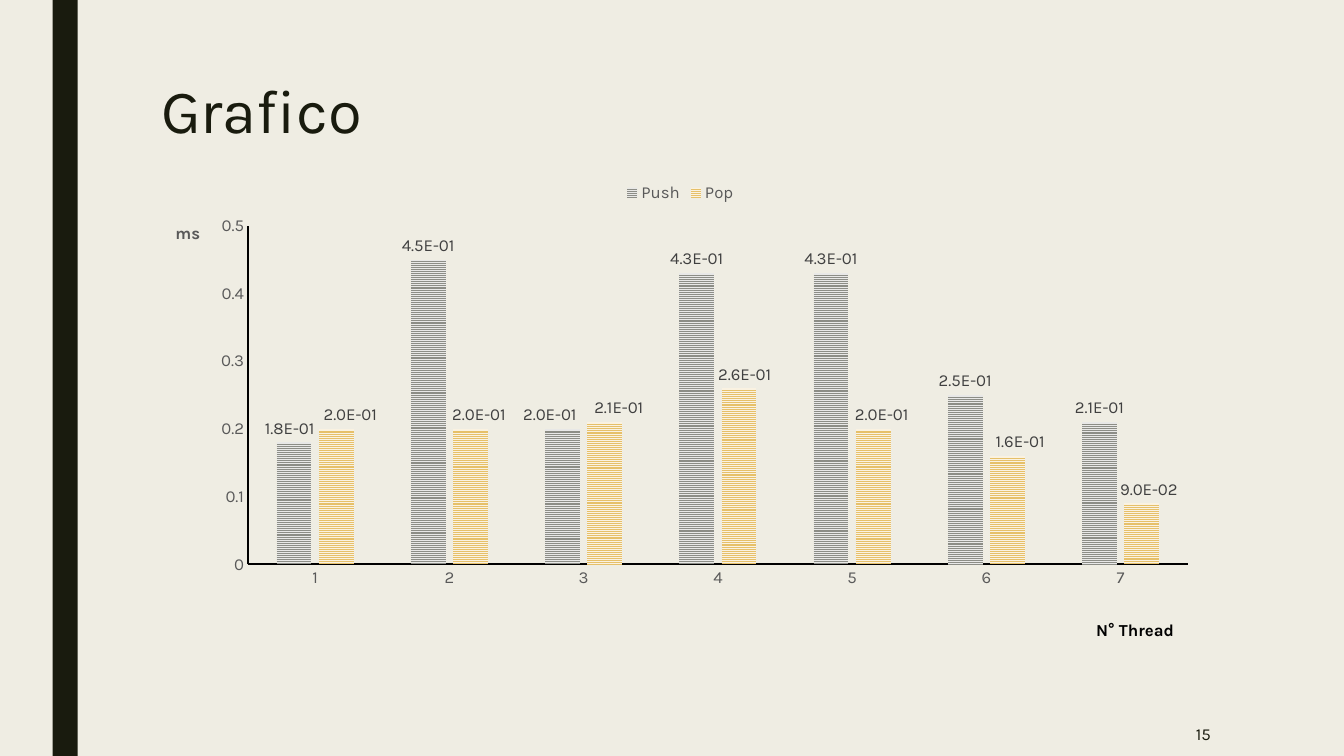
from dataclasses import dataclass

from lxml import etree
from pptx import Presentation
from pptx.chart.data import CategoryChartData
from pptx.dml.color import RGBColor
from pptx.enum.chart import XL_CHART_TYPE, XL_LABEL_POSITION, XL_LEGEND_POSITION, XL_TICK_MARK
from pptx.enum.dml import MSO_PATTERN
from pptx.enum.shapes import MSO_SHAPE
from pptx.enum.text import MSO_ANCHOR, PP_ALIGN
from pptx.oxml.ns import qn
from pptx.util import Pt

COLUMNS = XL_CHART_TYPE.COLUMN_CLUSTERED
ABOVE_BAR = XL_LABEL_POSITION.OUTSIDE_END
LEGEND_TOP = XL_LEGEND_POSITION.TOP
NO_TICK = XL_TICK_MARK.NONE
STRIPES = MSO_PATTERN.NARROW_HORIZONTAL
RECTANGLE = MSO_SHAPE.RECTANGLE
TOP, MIDDLE = MSO_ANCHOR.TOP, MSO_ANCHOR.MIDDLE
LEFT, RIGHT = PP_ALIGN.LEFT, PP_ALIGN.RIGHT

CREAM = RGBColor(0xEF, 0xED, 0xE3)
INK = RGBColor(0x19, 0x1B, 0x0E)
BLACK = RGBColor(0x00, 0x00, 0x00)
AXIS_GRAY = RGBColor(0x59, 0x59, 0x59)
LABEL_GRAY = RGBColor(0x40, 0x40, 0x40)
FONT = "Karla"
LABEL_FORMAT = "0.0E+00"
CHART_WIDTH = 756


@dataclass
class TextItem:
    text: str
    left: float
    top: float
    width: float
    height: float
    size: float
    anchor: MSO_ANCHOR
    alignment: PP_ALIGN
    line_spacing: float


@dataclass
class BarSeries:
    name: str
    values: tuple[float, ...]
    stripe: RGBColor
    ground: RGBColor
    label_shifts: dict[int, float]  # bar index -> sideways shift in points


@dataclass
class AxisStyle:
    title: str
    title_color: RGBColor
    title_x: float
    title_y: float


TEXTS = [
    TextItem("Grafico", 108, 54, 756, 56, 44, TOP, LEFT, 0.89),
    TextItem("15", 746, 508.5, 126, 31.5, 12, MIDDLE, RIGHT, 1),
]
SERIES = [
    BarSeries("Push", (0.18, 0.45, 0.20, 0.43, 0.43, 0.25, 0.21),
              RGBColor(0x8C, 0x8D, 0x86), RGBColor(0xE8, 0xE8, 0xE7),
              {0: -3, 2: -9}),
    BarSeries("Pop", (0.20, 0.20, 0.21, 0.26, 0.20, 0.16, 0.09),
              RGBColor(0xE6, 0xC0, 0x69), RGBColor(0xFA, 0xF2, 0xE1),
              {0: 10, 1: 6, 2: 10, 3: 4, 4: 6, 5: 9, 6: 5}),
]
CATEGORY_AXIS = AxisStyle("N° Thread", BLACK, 0.89, 0.94)
VALUE_AXIS = AxisStyle("ms", AXIS_GRAY, 0.02, 0.1)


def style_font(font, size: float, color: RGBColor, bold: bool = False) -> None:
    font.name, font.size, font.bold = FONT, Pt(size), bold
    font.color.rgb = color


def make_layout(**settings):
    """Build a manual chart layout element."""
    layout = etree.Element(qn("c:layout"))
    manual = etree.SubElement(layout, qn("c:manualLayout"))
    for name, value in settings.items():
        etree.SubElement(manual, qn(f"c:{name}")).set("val", str(value))
    return layout


def replace_layout(parent, layout, previous: str | None = None) -> None:
    """Put a layout first in its parent, or right after the named child."""
    for old in parent.findall(qn("c:layout")):
        parent.remove(old)
    if previous is None:
        parent.insert(0, layout)
    else:
        parent.find(qn(previous)).addnext(layout)


def add_text(slide, item: TextItem) -> None:
    shape = slide.shapes.add_textbox(
        Pt(item.left), Pt(item.top), Pt(item.width), Pt(item.height))
    frame = shape.text_frame
    frame.word_wrap = True
    frame.vertical_anchor = item.anchor
    paragraph = frame.paragraphs[0]
    paragraph.alignment = item.alignment
    paragraph.line_spacing = item.line_spacing
    run = paragraph.add_run()
    run.text = item.text
    style_font(run.font, item.size, INK)


def style_axis(axis, style: AxisStyle) -> None:
    axis.has_major_gridlines = False
    axis.major_tick_mark = axis.minor_tick_mark = NO_TICK
    axis.format.line.color.rgb = BLACK
    axis.format.line.width = Pt(1.5)
    style_font(axis.tick_labels.font, 12, AXIS_GRAY)
    title = axis.axis_title
    frame = title.text_frame
    run = frame.paragraphs[0].add_run()
    run.text = style.title
    style_font(run.font, 12, style.title_color, bold=True)
    body = frame._txBody.find(qn("a:bodyPr"))
    body.set("rot", "0")
    body.set("vert", "horz")
    replace_layout(title._element, make_layout(
        xMode="edge", yMode="edge", x=style.title_x, y=style.title_y), "c:tx")


def style_series(series, style: BarSeries) -> None:
    fill = series.format.fill
    fill.patterned()
    fill.pattern = STRIPES
    fill.fore_color.rgb, fill.back_color.rgb = style.stripe, style.ground
    series.invert_if_negative = False
    labels = series.data_labels
    labels.show_value = True
    labels.number_format, labels.number_format_is_linked = LABEL_FORMAT, False
    labels.position = ABOVE_BAR
    style_font(labels.font, 12, LABEL_GRAY)
    # Labels moved sideways to keep clear of their neighbours
    for index, shift in style.label_shifts.items():
        label = series.points[index].data_label
        style_font(label.font, 12, LABEL_GRAY)
        label.position = ABOVE_BAR
        element = labels._element.xpath(f"c:dLbl[c:idx/@val='{index}']")[0]
        number_format = etree.Element(
            qn("c:numFmt"), formatCode=LABEL_FORMAT, sourceLinked="0")
        element.find(qn("c:idx")).addnext(number_format)
        replace_layout(element, make_layout(
            x=round(shift / CHART_WIDTH, 4), y=0), "c:idx")


def add_thread_chart(slide) -> None:
    data = CategoryChartData()
    data.categories = [str(count) for count in range(1, 8)]
    for style in SERIES:
        data.add_series(style.name, style.values)
    chart = slide.shapes.add_chart(
        COLUMNS, Pt(108), Pt(122.4), Pt(CHART_WIDTH), Pt(339), data).chart
    chart.has_title = False
    style_font(chart.font, 10, BLACK)

    # Legend
    chart.has_legend = True
    chart.legend.position = LEGEND_TOP
    chart.legend.include_in_layout = False
    style_font(chart.legend.font, 12, AXIS_GRAY)

    # Axes
    style_axis(chart.category_axis, CATEGORY_AXIS)
    style_axis(chart.value_axis, VALUE_AXIS)
    chart.value_axis.minimum_scale, chart.value_axis.maximum_scale = 0, 0.5
    chart.value_axis.major_unit = 0.1
    chart.value_axis.tick_labels.number_format = "General"
    chart.value_axis.tick_labels.number_format_is_linked = False

    # Bars
    plot = chart.plots[0]
    plot.gap_width, plot.overlap, plot.vary_by_categories = 164, -22, False
    for series, style in zip(plot.series, SERIES):
        style_series(series, style)
    plot_area = chart._chartSpace.find(f".//{qn('c:plotArea')}")
    replace_layout(plot_area, make_layout(
        layoutTarget="inner", xMode="edge", yMode="edge",
        x=0.0915, y=0.115, w=0.888, h=0.716))


def main() -> None:
    presentation = Presentation()
    presentation.slide_width, presentation.slide_height = Pt(960), Pt(540)
    slide = presentation.slides.add_slide(presentation.slide_layouts[6])
    slide.background.fill.solid()
    slide.background.fill.fore_color.rgb = CREAM

    # Side band
    band = slide.shapes.add_shape(RECTANGLE, Pt(37.5), Pt(0), Pt(18), Pt(540))
    band.shadow.inherit = False
    band.fill.solid()
    band.fill.fore_color.rgb = INK
    band.line.fill.background()

    # Title, page number and chart
    for item in TEXTS:
        add_text(slide, item)
    add_thread_chart(slide)
    presentation.save("out.pptx")


if __name__ == "__main__":
    main()
